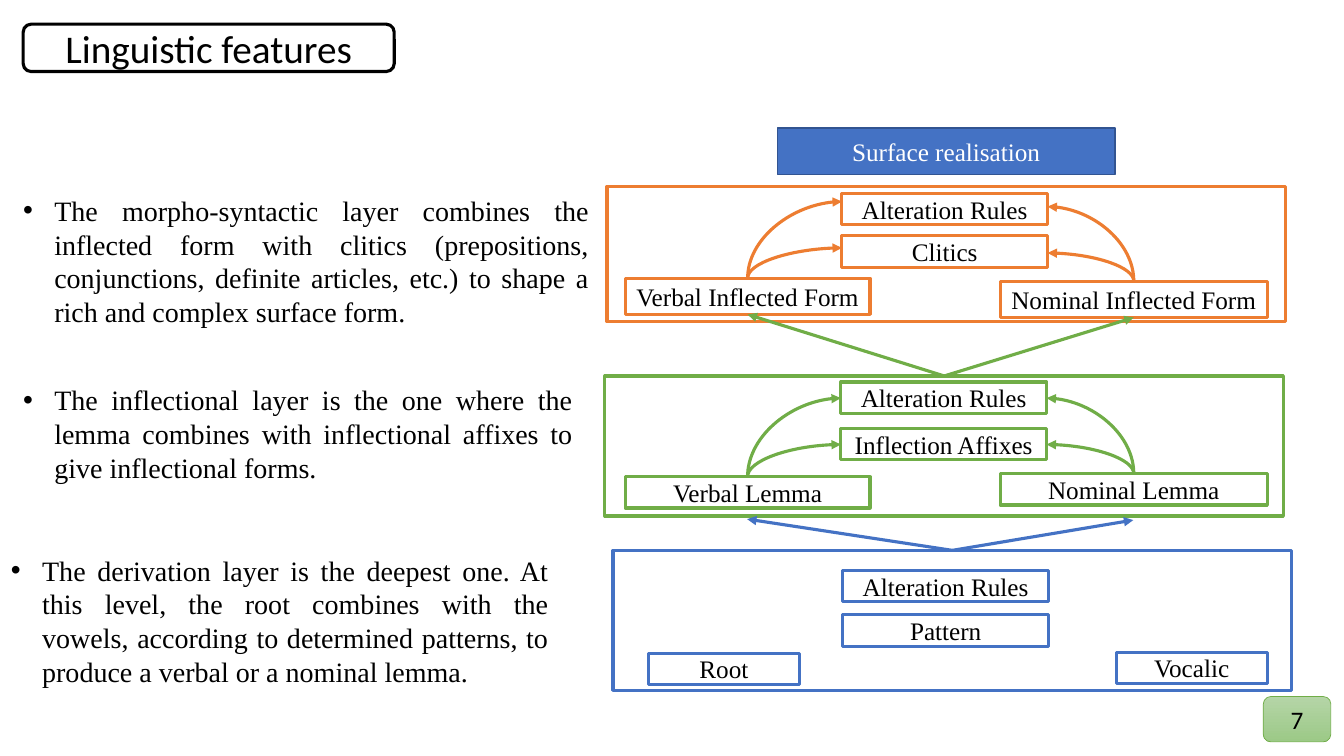
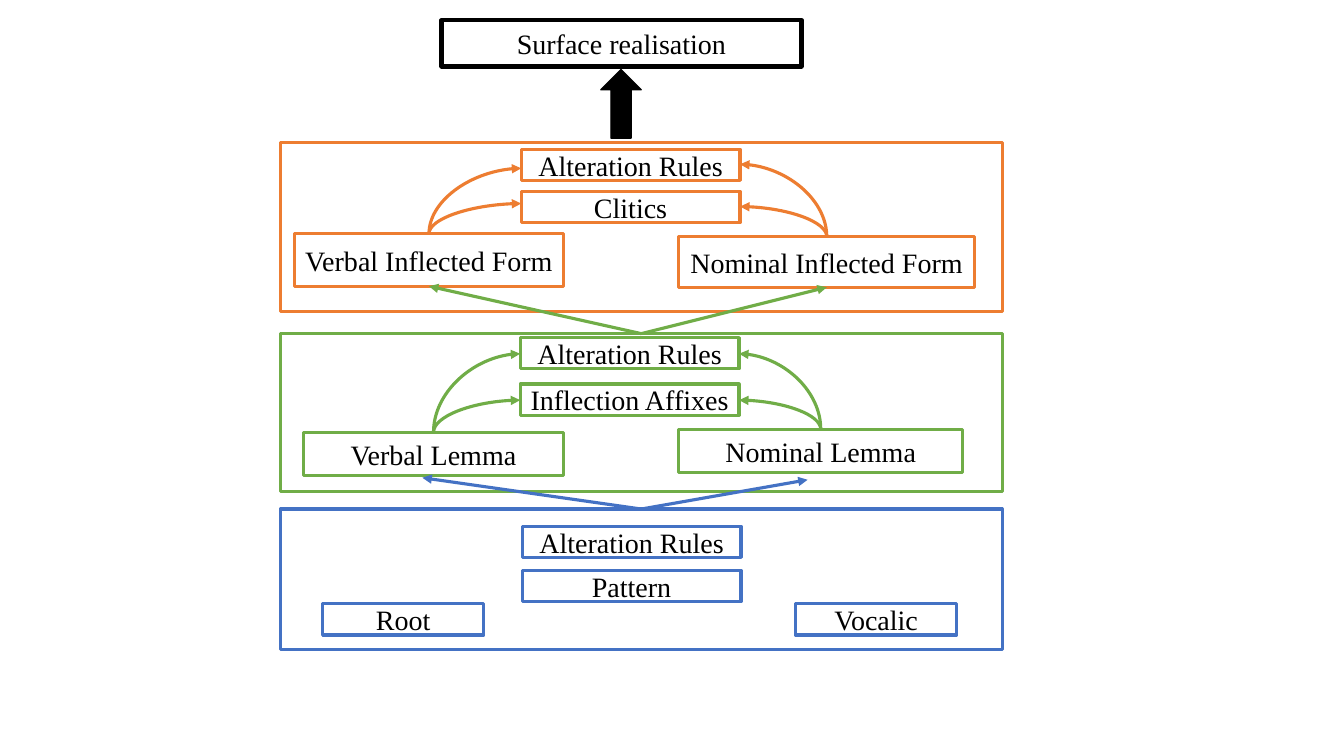
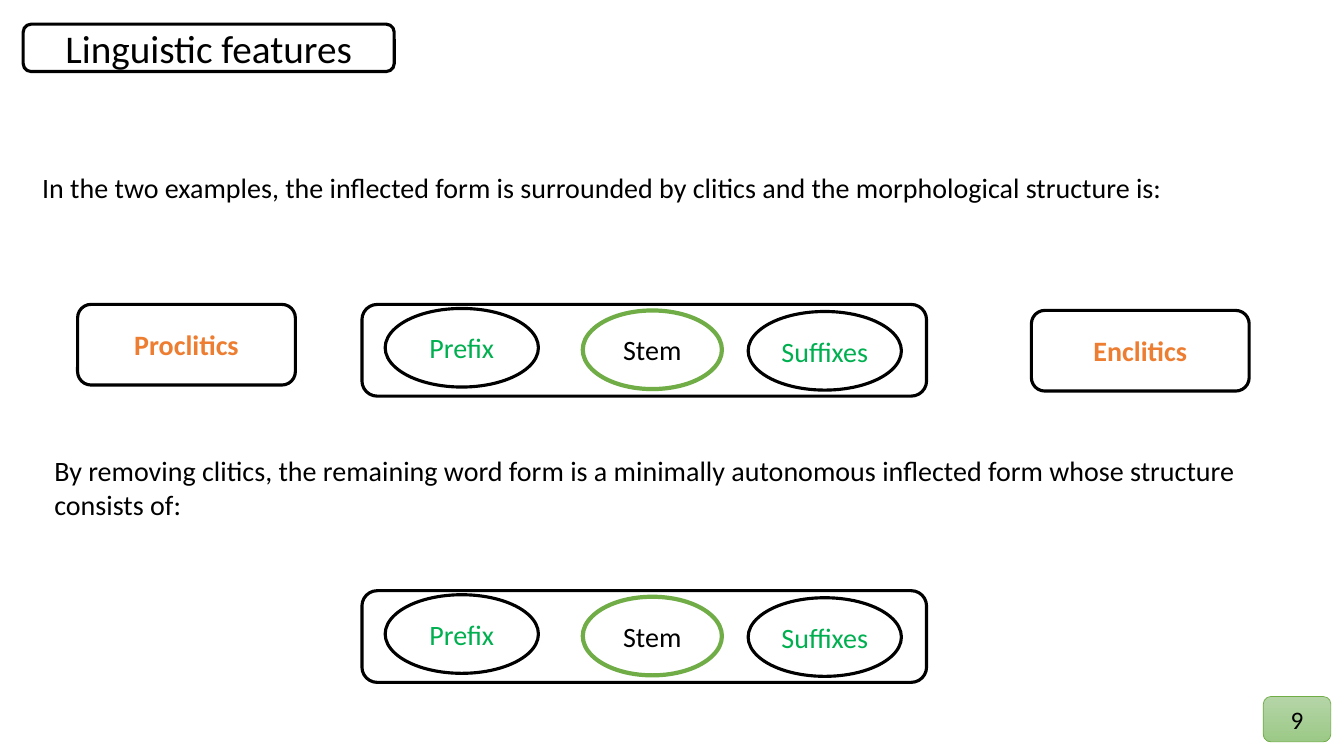
"""Build three slides on the linguistic layers of a word form."""
from pptx import Presentation
from pptx import util as u
from pptx.dml.color import RGBColor
from pptx.enum import shapes, text
from pptx.oxml import ns, xmlchemy

BLACK = RGBColor(0x00, 0x00, 0x00)
WHITE = RGBColor(0xFF, 0xFF, 0xFF)
ORANGE = RGBColor(0xED, 0x7D, 0x31)
GREEN = RGBColor(0x70, 0xAD, 0x47)
BLUE = RGBColor(0x44, 0x72, 0xC4)
DARK_BLUE = RGBColor(0x32, 0x54, 0x91)
AFFIX_GREEN = RGBColor(0x00, 0xB0, 0x50)
BADGE_TOP = RGBColor(0xB5, 0xD5, 0xA7)
BADGE_BOTTOM = RGBColor(0x9C, 0xC9, 0x87)
SERIF, SANS = "Times New Roman", "Calibri"
RECTANGLE = shapes.MSO_SHAPE.RECTANGLE
ROUNDED = shapes.MSO_SHAPE.ROUNDED_RECTANGLE
OVAL = shapes.MSO_SHAPE.OVAL
TOP, BOTTOM = 0, 2

presentation = Presentation()
presentation.slide_width, presentation.slide_height = u.Inches(13.33), u.Inches(7.5)
COLUMN = presentation.slide_width / 13.33
ROW = presentation.slide_height / 7.5


def add_box(slide, preset, at, label="", size=20, font=SANS, color=BLACK,
            line=BLACK, weight=2.25, fill=WHITE, bold=False):
    left, top, width, height = at
    shape = slide.shapes.add_shape(preset, int(left * COLUMN), int(top * ROW),
                                   int(width * COLUMN), int(height * ROW))
    shape.shadow.inherit = False
    shape.fill.solid()
    shape.fill.fore_color.rgb = fill
    shape.line.color.rgb = line
    shape.line.width = u.Pt(weight)
    if label:
        shape.text_frame.vertical_anchor = text.MSO_ANCHOR.MIDDLE
        paragraph = shape.text_frame.paragraphs[0]
        paragraph.text = label
        paragraph.alignment = text.PP_ALIGN.CENTER
        paragraph.font.size = u.Pt(size)
        paragraph.font.name = font
        paragraph.font.bold = bold
        paragraph.font.color.rgb = color
    return shape


def add_arrow(slide, start, end, color, curved=False):
    (x1, y1), (x2, y2) = start, end
    kind = shapes.MSO_CONNECTOR.STRAIGHT
    if curved:
        kind = shapes.MSO_CONNECTOR.CURVE
        middle_x, middle_y = (x1 + x2) / 2, (y1 + y2) / 2
        half_width, half_height = (y1 - y2) / 2, (x2 - x1) / 2
        x1, x2 = middle_x + abs(half_width), middle_x - abs(half_width)
        if half_height < 0:
            x1, x2 = x2, x1
        y1, y2 = middle_y + abs(half_height), middle_y - abs(half_height)
    connector = slide.shapes.add_connector(kind, int(x1), int(y1), int(x2), int(y2))
    connector.line.color.rgb = color
    connector.line.width = u.Pt(2.25)
    properties = connector._element.spPr
    if curved:
        properties.find(ns.qn("a:prstGeom")).set("prst", "curvedConnector2")
        properties.find(ns.qn("a:xfrm")).set("rot", "5400000" if half_height > 0 else "16200000")
    tail = xmlchemy.OxmlElement("a:tailEnd")
    tail.set("type", "triangle")
    connector.line._get_or_add_ln().append(tail)
    properties.append(xmlchemy.OxmlElement("a:effectLst"))
    return connector


layers_slide, diagram_slide, structure_slide = [
    presentation.slides.add_slide(presentation.slide_layouts[6]) for _ in range(3)]

NAMES = [
    (ORANGE, "Alteration Rules", "Clitics", "Verbal Inflected Form", "Nominal Inflected Form"),
    (GREEN, "Alteration Rules", "Inflection Affixes", "Verbal Lemma", "Nominal Lemma"),
    (BLUE, "Alteration Rules", "Pattern", "Root", "Vocalic"),
]
small_layers = [
    ((6.02, 1.85, 6.73, 1.34),
     [(8.35, 1.92, 2.04, 0.31), (8.35, 2.34, 2.04, 0.31),
      (6.2, 2.76, 2.43, 0.36), (9.92, 2.79, 2.65, 0.36)], [(2, 2.46), (2.05, 2.51)]),
    ((6, 3.73, 6.73, 1.39),
     [(8.34, 3.79, 2.04, 0.31), (8.34, 4.25, 2.04, 0.31),
      (6.2, 4.73, 2.43, 0.31), (9.92, 4.7, 2.65, 0.31)], [(3.95, 4.41)] * 2),
    ((6.08, 5.46, 6.73, 1.39),
     [(8.36, 5.66, 2.04, 0.31), (8.36, 6.1, 2.04, 0.31),
      (6.43, 6.48, 1.5, 0.31), (11.07, 6.47, 1.5, 0.31)], []),
]
large_layers = [
    ((2.78, 1.41, 7.16, 1.68),
     [(5.17, 1.48, 2.17, 0.31), (5.17, 1.9, 2.17, 0.31),
      (2.92, 2.32, 2.67, 0.52), (6.73, 2.35, 2.94, 0.5)], [(1.67, 2.02), (1.63, 2.05)]),
    ((2.78, 3.31, 7.16, 1.57),
     [(5.16, 3.35, 2.17, 0.31), (5.16, 3.81, 2.17, 0.31),
      (3.01, 4.29, 2.58, 0.43), (6.73, 4.26, 2.82, 0.43)], [(3.51, 3.97)] * 2),
    ((2.78, 5.05, 7.16, 1.39),
     [(5.18, 5.22, 2.17, 0.31), (5.18, 5.66, 2.17, 0.31),
      (3.2, 5.99, 1.6, 0.31), (7.89, 5.99, 1.6, 0.31)], []),
]
diagrams = [
    (layers_slide, 18, small_layers, [(7.41, 5.15), (11.24, 5.16)]),
    (diagram_slide, 20, large_layers, [(4.19, 4.74), (8.01, 4.76)]),
]
for slide, size, layers, lemma_points in diagrams:
    forms_above = []
    for (color, *labels), (frame_at, places, reaches) in zip(NAMES, layers):
        frame = add_box(slide, RECTANGLE, frame_at, line=color)
        rules, part, *forms = [add_box(slide, RECTANGLE, at, label, size, SERIF, line=color)
                               for label, at in zip(labels, places)]
        for form, heights, at_right in zip(forms, reaches, (False, True)):
            for target, height in zip((rules, part), heights):
                side = target.left + target.width * at_right
                add_arrow(slide, (form.left + form.width / 2, form.top),
                          (side, height * ROW), color, curved=True)
        for form, (x, y) in zip(forms_above, lemma_points):
            arrow = add_arrow(slide, (frame.left + frame.width / 2, frame.top),
                              (x * COLUMN, y * ROW), color)
            arrow.begin_connect(frame, TOP)
            if color == GREEN:
                arrow.end_connect(form, BOTTOM)
        forms_above = forms

add_box(layers_slide, RECTANGLE, (7.71, 1.27, 3.35, 0.46), "Surface realisation", 18, SERIF,
        WHITE, DARK_BLUE, 1, BLUE)
add_box(diagram_slide, RECTANGLE, (4.38, 0.2, 3.57, 0.46), "Surface realisation", 20, SERIF,
        weight=3)
add_box(diagram_slide, shapes.MSO_SHAPE.UP_ARROW, (5.96, 0.69, 0.4, 0.68), weight=1, fill=BLACK)

passages = [
    (layers_slide, (0.13, 1.87, 5.81, 1.45), SERIF,
     "The morpho-syntactic layer combines the inflected form with clitics (prepositions, "
     "conjunctions, definite articles, etc.) to shape a rich and complex surface form."),
    (layers_slide, (0.13, 3.75, 5.65, 1.11), SERIF,
     "The inflectional layer is the one where the lemma combines with inflectional affixes "
     "to give inflectional forms."),
    (layers_slide, (0.01, 5.44, 5.53, 1.45), SERIF,
     "The derivation layer is the deepest one. At this level, the root combines with the "
     "vowels, according to determined patterns, to produce a verbal or a nominal lemma."),
    (structure_slide, (0.32, 1.64, 12.24, 0.44), SANS,
     "In the two examples, the inflected form is surrounded by clitics and the "
     "morphological structure is:"),
    (structure_slide, (0.44, 4.45, 12.45, 0.77), SANS,
     "By removing clitics, the remaining word form is a minimally autonomous inflected "
     "form whose structure consists of:"),
]
for slide, (left, top, width, height), font, words in passages:
    passage = slide.shapes.add_textbox(int(left * COLUMN), int(top * ROW),
                                       int(width * COLUMN), int(height * ROW))
    passage.text_frame.word_wrap = True
    passage.text_frame.auto_size = text.MSO_AUTO_SIZE.SHAPE_TO_FIT_TEXT
    paragraph = passage.text_frame.paragraphs[0]
    paragraph.text = words
    paragraph.font.size = u.Pt(20)
    paragraph.font.name = font
    paragraph.font.color.rgb = BLACK
    if slide is layers_slide:
        paragraph.alignment = text.PP_ALIGN.JUSTIFY
        properties = paragraph._p.get_or_add_pPr()
        indent = int(0.31 * COLUMN)
        properties.set("marL", str(indent))
        properties.set("indent", str(-indent))
        for tag, key, value in (("a:buFont", "typeface", "Arial"), ("a:buChar", "char", "•")):
            bullet = xmlchemy.OxmlElement(tag)
            bullet.set(key, value)
            properties.insert_element_before(bullet, "a:tabLst", "a:defRPr", "a:extLst")

for left, top, label in ((0.77, 3.02, "Proclitics"), (10.23, 3.08, "Enclitics")):
    add_box(structure_slide, ROUNDED, (left, top, 2.16, 0.8), label, color=ORANGE, bold=True)
for top in (3.02, 5.86):
    add_box(structure_slide, ROUNDED, (3.59, top, 5.6, 0.91))
    add_box(structure_slide, OVAL, (7.42, top + 0.07, 1.52, 0.78), "Suffixes", color=AFFIX_GREEN)
    add_box(structure_slide, OVAL, (5.78, top + 0.06, 1.38, 0.78), "Stem", line=GREEN, weight=3)
    add_box(structure_slide, OVAL, (3.82, top + 0.04, 1.52, 0.78), "Prefix", color=AFFIX_GREEN)

for slide, number in ((layers_slide, "7"), (structure_slide, "9")):
    add_box(slide, ROUNDED, (0.23, 0.24, 3.68, 0.47), "Linguistic features", 28)
    badge = add_box(slide, ROUNDED, (12.53, 6.91, 0.67, 0.45), number, 18, line=GREEN, weight=0.5)
    badge.fill.gradient()
    badge.fill.gradient_angle = 270
    for stop, color in zip(badge.fill.gradient_stops, (BADGE_TOP, BADGE_BOTTOM)):
        stop.color.rgb = color

presentation.save("out.pptx")
